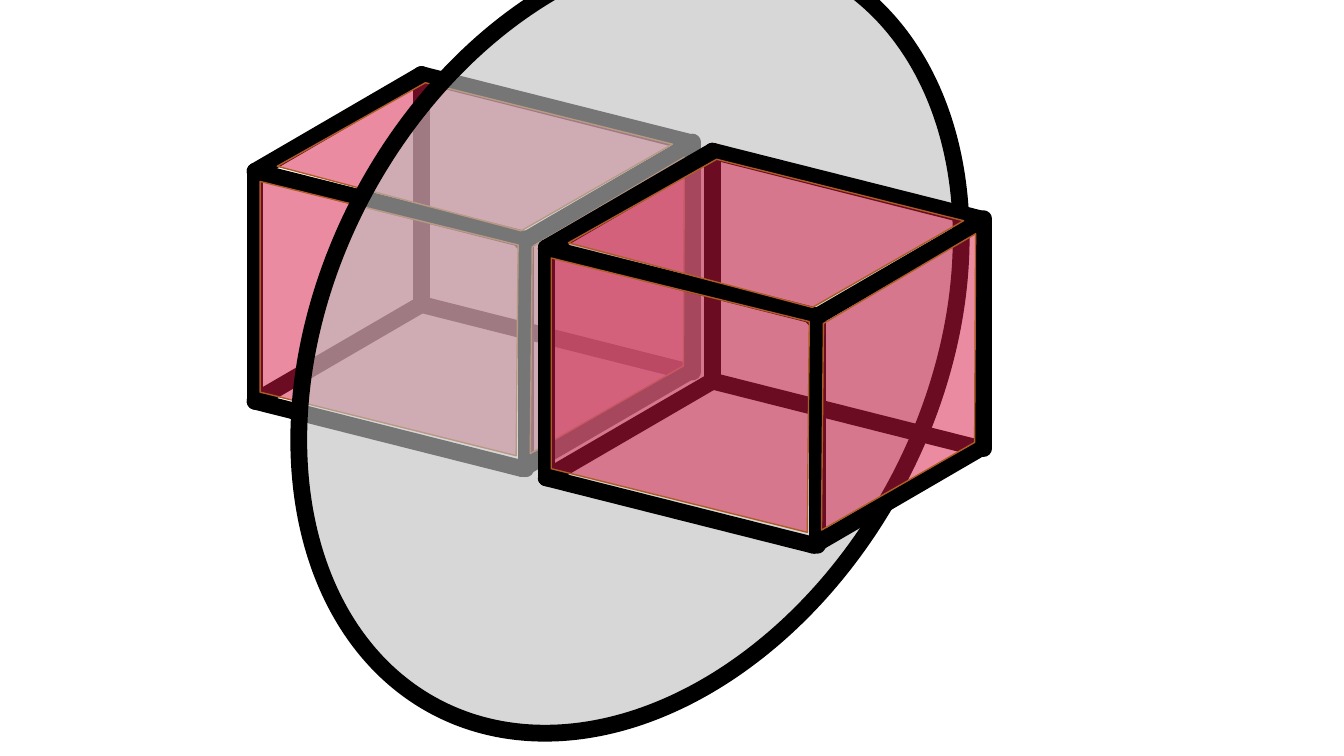
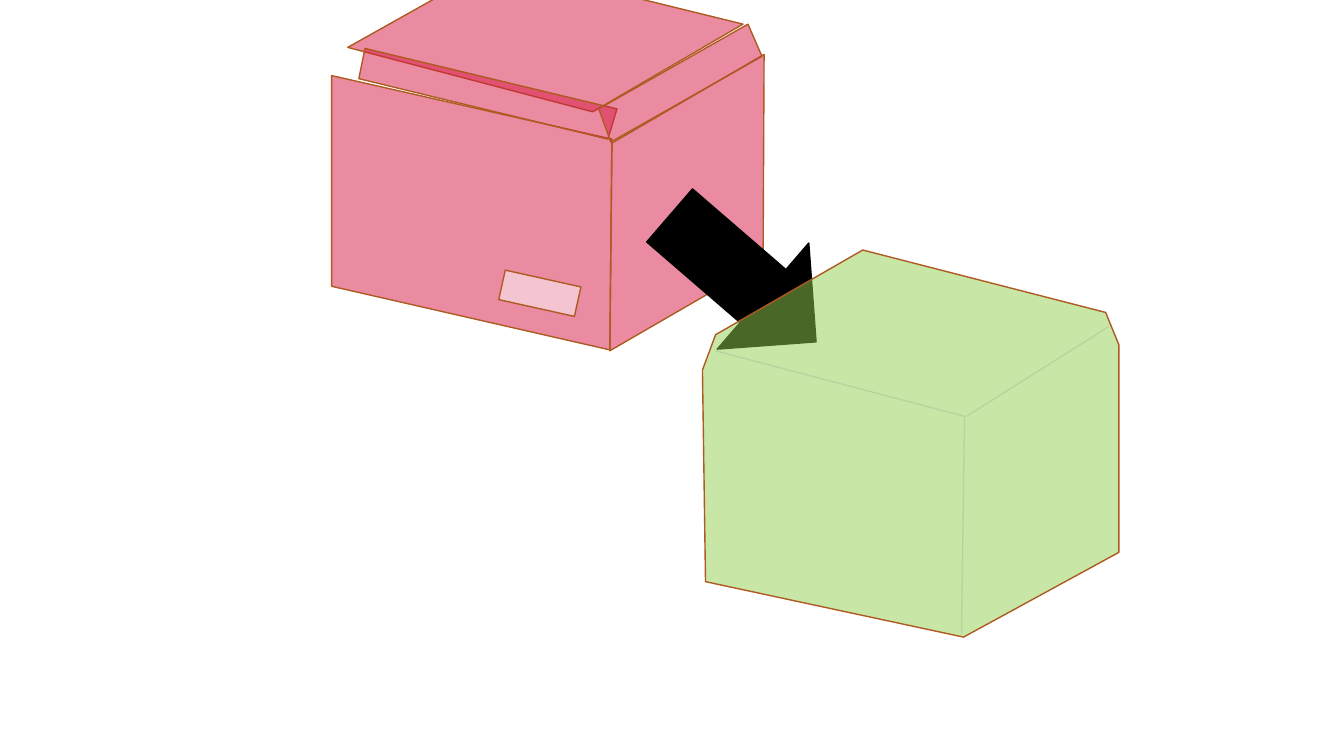
from lxml import etree
from pptx import Presentation
from pptx.dml.color import RGBColor
from pptx.enum.shapes import MSO_CONNECTOR, MSO_SHAPE
from pptx.oxml.ns import qn
from pptx.util import Pt

STRAIGHT = MSO_CONNECTOR.STRAIGHT
ELLIPSE = MSO_SHAPE.OVAL
ARROW = MSO_SHAPE.RIGHT_ARROW
RECTANGLE = MSO_SHAPE.RECTANGLE

COLORS = {
    "black": "000000",
    "red": "D71945",
    "green": "92D050",
    "grey": "BFBFBF",
    "white": "FFFFFF",
    "frame_rim": "AF5C24",
    "carton_rim": "AE5A21",
    "crease": "1E3256",
}
EDGE = {"color": "black", "width": 12, "cap": "rnd"}
FRAME_RIM = {"color": "frame_rim", "width": 1}
CARTON_RIM = {"color": "carton_rim", "width": 1}
CREASE = {"color": "crease", "width": 1, "alpha": 10}
SOLID_BLACK = {"color": "black", "width": 1}

FRAME_RIGHT = (191, 48.2)
FRAME_BACK = (118.8, -69.1)
FRAME_HEIGHT = 164.2
FRAME_FACES = [
    [(3.6, 76.3), (187.9, 121.7), (186.5, 272.2), (3.6, 226.8)],
    [(121.7, 5.8), (298.1, 49.7), (190.1, 111.6), (15.8, 65.5)],
    [(306.7, 59), (306, 208.1), (196.6, 270.7), (198, 123.1)],
]
CARTON_FACES = [
    [(0, 79.9), (200.2, 125.3), (198.7, 275.8), (0, 230.4)],
    [(118.1, 0), (293.8, 43.2), (186.5, 105.8), (11.5, 59.8)],
    [(308.9, 64.8), (308.2, 213.1), (198.7, 276.5), (200.2, 128.2)],
    [(23.8, 60.5), (203.8, 103.7), (197.3, 125.3), (19.4, 82.1)],
    [(297.4, 43.2), (307.4, 66.2), (199.4, 127.4), (190.8, 103.7)],
]
BLOCK_OUTLINE = [
    (2.2, 236.9), (0, 85.7), (9.4, 60.5), (114.5, 0),
    (288, 44.6), (297.4, 67.7), (297.4, 216), (186.5, 276.5),
]
BLOCK_FOLD = [(185, 275), (187.2, 118.8), (9.4, 72)]
BLOCK_CREASE = [(188.6, 118.8), (290.2, 54.7)]


def shift(point, *offsets):
    return tuple(sum(values) for values in zip(point, *offsets))


def set_alpha(parent, percent):
    color = parent.find(qn("a:solidFill")).find(qn("a:srgbClr"))
    etree.SubElement(color, qn("a:alpha"), val=str(percent * 1000))


def style_line(sp, style):
    sp.line.color.rgb = RGBColor.from_string(COLORS[style["color"]])
    sp.line.width = Pt(style["width"])
    ln = sp._element.spPr.find(qn("a:ln"))
    if "cap" in style:
        ln.set("cap", style["cap"])
    if "alpha" in style:
        set_alpha(ln, style["alpha"])


def style_shape(sp, line, fill=None, alpha=100):
    sp.shadow.inherit = False
    if fill:
        sp.fill.solid()
        sp.fill.fore_color.rgb = RGBColor.from_string(COLORS[fill])
        if alpha < 100:
            set_alpha(sp._element.spPr, alpha)
    else:
        sp.fill.background()
    style_line(sp, line)


def add_edge(slide, start, end, style):
    sp = slide.shapes.add_connector(STRAIGHT, *(Pt(v) for v in (*start, *end)))
    style_line(sp, style)
    etree.SubElement(sp._element.spPr, qn("a:effectLst"))


def add_outline(slide, origin, points, line, fill=None, alpha=50, close=True):
    first, *rest = [tuple(Pt(v) for v in shift(p, origin)) for p in points]
    builder = slide.shapes.build_freeform(*first)
    builder.add_line_segments(rest, close=close)
    style_shape(builder.convert_to_shape(), line, fill, alpha)


def add_preset(slide, kind, box, rotation, line, fill, alpha=100):
    sp = slide.shapes.add_shape(kind, *(Pt(v) for v in box))
    sp.rotation = rotation
    style_shape(sp, line, fill, alpha)


def add_frame_cube(slide, origin):
    front = shift(origin, (0, -FRAME_BACK[1]))
    back = shift(front, FRAME_BACK)
    down = (0, FRAME_HEIGHT)
    for corner in (front, back):
        right = shift(corner, FRAME_RIGHT)
        post = shift(right, (2.5, 0))
        add_edge(slide, corner, right, EDGE)
        add_edge(slide, shift(corner, down), shift(right, down), EDGE)
        add_edge(slide, corner, shift(corner, down), EDGE)
        add_edge(slide, post, shift(post, down), EDGE)
    for offset in ((0, 0), down, shift(FRAME_RIGHT, down), shift(FRAME_RIGHT, (0, 2.2))):
        add_edge(slide, shift(back, offset), shift(front, offset), EDGE)
    for face in FRAME_FACES:
        add_outline(slide, origin, face, FRAME_RIM, "red")


def add_carton(slide, origin):
    for face in CARTON_FACES:
        add_outline(slide, origin, face, CARTON_RIM, "red")


def add_carton_label(slide, origin):
    box = (*shift(origin, (121, 224.6)), 55.4, 21.6)
    add_preset(slide, RECTANGLE, box, 12.5, CARTON_RIM, "white", 50)


def add_block(slide, origin):
    add_outline(slide, origin, BLOCK_OUTLINE, CARTON_RIM, "green")
    add_outline(slide, origin, BLOCK_FOLD, CREASE, close=False)
    add_edge(slide, *(shift(p, origin) for p in BLOCK_CREASE), CREASE)


def build_frames_slide(slide):
    add_frame_cube(slide, (182.2, 53.3))
    add_preset(slide, ELLIPSE, (233.3, -55.4, 433.4, 594.7), 27.8, EDGE, "grey", 62)
    add_frame_cube(slide, (390.2, 108))


def build_carton_slide(slide):
    carton = (236.9, -25.9)
    add_carton(slide, carton)
    add_preset(slide, ARROW, (461.5, 149, 138.2, 100.1), 40.8, SOLID_BLACK, "black")
    add_block(slide, (501.8, 178.6))
    add_carton_label(slide, carton)


def main():
    prs = Presentation()
    prs.slide_width, prs.slide_height = Pt(960), Pt(540)
    for build in (build_frames_slide, build_carton_slide):
        build(prs.slides.add_slide(prs.slide_layouts[6]))
    prs.save("out.pptx")


if __name__ == "__main__":
    main()
